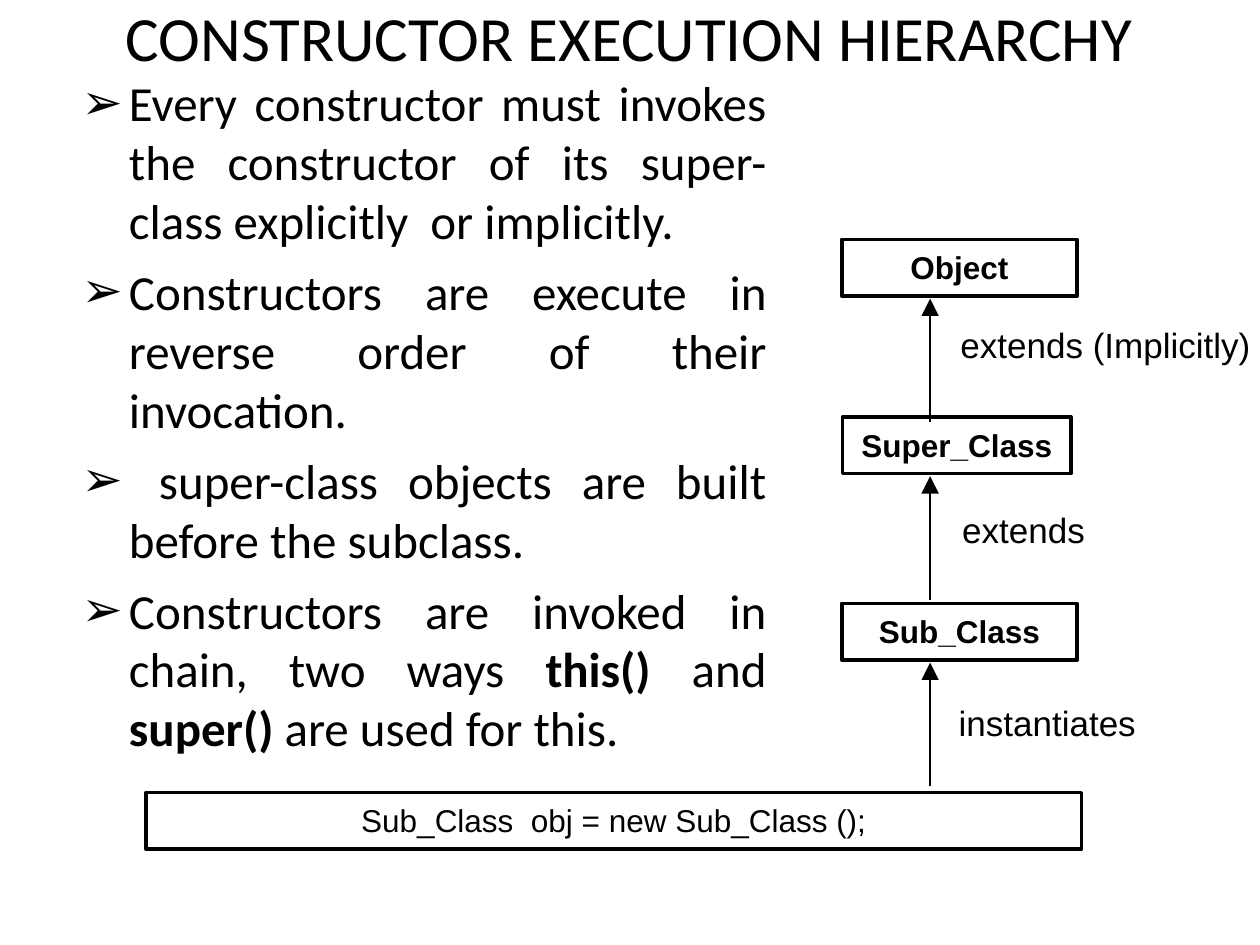
from collections import namedtuple
from dataclasses import dataclass

from lxml import etree
from pptx import Presentation
from pptx.dml.color import RGBColor
from pptx.enum import shapes, text
from pptx.oxml import ns
from pptx.util import Pt

Box = namedtuple("Box", "left top width height")


@dataclass(frozen=True)
class Theme:
    ink: RGBColor = RGBColor(0, 0, 0)
    paper: RGBColor = RGBColor(255, 255, 255)
    prose_font: str = "Calibri"
    diagram_font: str = "Arial"
    title: int = 36
    body: int = 28
    label: int = 20
    node: int = 18


THEME = Theme()
CENTER = text.PP_ALIGN.CENTER

POINTS = [
    [("Every constructor must invokes the constructor of its super-class "
      "explicitly  or implicitly. ", False)],
    [("Constructors are execute in reverse order of their invocation.", False)],
    [(" super-class objects are built before the subclass.", False)],
    [("Constructors are invoked in chain, two ways ", False), ("this()", True),
     (" and ", False), ("super()", True), (" are used for this.", False)],
]

# Class, left, top, width; then the label of the arrow below and its place
CLASSES = [
    ("Object", 397.5, 0, 134.5, "extends (Implicitly)", 454.5, 43.2, 182),
    ("Super_Class", 398, 101.5, 130.5, "extends", 455.5, 149, 91.5),
    ("Sub_Class", 397.5, 208, 134.5, "instantiates", 453.5, 259.2, 123),
]
NODE_HEIGHT = 32.4
LABEL_HEIGHT = 34.5
ARROW_X, ARROW_GAP, ARROW_LENGTH = 448, 1.4, 70.5


def add_child(parent, tag, **attributes):
    return etree.SubElement(parent, ns.qn(tag), **attributes)


def add_run(paragraph, words, font, size, bold=False):
    run = paragraph.add_run()
    run.text = words
    run.font.name, run.font.size, run.font.bold = font, Pt(size), bold
    run.font.color.rgb = THEME.ink


def add_textbox(slide, box):
    frame = slide.shapes.add_textbox(*map(Pt, box)).text_frame
    frame.word_wrap = True
    return frame


def set_insets(frame, left, right):
    frame.margin_left, frame.margin_right = Pt(left), Pt(right)
    frame.margin_top = frame.margin_bottom = Pt(5)


def add_title(slide, box):
    frame = add_textbox(slide, box)
    frame.vertical_anchor = text.MSO_ANCHOR.MIDDLE
    heading = frame.paragraphs[0]
    heading.alignment = CENTER
    add_run(heading, "CONSTRUCTOR EXECUTION HIERARCHY ", THEME.prose_font, THEME.title)


def add_points(slide, box):
    frame = add_textbox(slide, box)
    for index, runs in enumerate(POINTS):
        point = frame.add_paragraph() if index else frame.paragraphs[0]
        point.alignment = text.PP_ALIGN.JUSTIFY
        if index:
            point.space_before = Pt(7)
        properties = point._p.get_or_add_pPr()
        properties.set("marL", str(Pt(27)))
        properties.set("indent", str(Pt(-27)))
        bullet_color = add_child(properties, "a:buClr")
        add_child(bullet_color, "a:srgbClr", val=str(THEME.ink))
        add_child(properties, "a:buFont", typeface=THEME.diagram_font)
        add_child(properties, "a:buChar", char="➢")
        for words, bold in runs:
            add_run(point, words, THEME.prose_font, THEME.body, bold)


def add_node(slide, box, words, bold=True):
    node = slide.shapes.add_shape(shapes.MSO_SHAPE.RECTANGLE, *map(Pt, box))
    node.shadow.inherit = False
    node.fill.solid()
    node.fill.fore_color.rgb = THEME.paper
    node.line.color.rgb = THEME.ink
    node.line.width = Pt(2)
    frame = node.text_frame
    frame.word_wrap = True
    frame.vertical_anchor = text.MSO_ANCHOR.TOP
    set_insets(frame, 4, 4)
    caption = frame.paragraphs[0]
    caption.alignment = CENTER
    add_run(caption, words, THEME.diagram_font, THEME.node, bold)


def add_label(slide, box, words):
    frame = add_textbox(slide, box)
    set_insets(frame, 10.8, 0)
    add_run(frame.paragraphs[0], words, THEME.diagram_font, THEME.label)


def add_up_arrow(slide, x, tip):
    arrow = slide.shapes.add_connector(
        shapes.MSO_CONNECTOR.STRAIGHT, Pt(x), Pt(tip + ARROW_LENGTH), Pt(x), Pt(tip))
    arrow.line.color.rgb = THEME.ink
    arrow.line.width = Pt(0.75)
    add_child(arrow.line._get_or_add_ln(), "a:tailEnd", type="triangle", w="lg", len="lg")
    add_child(arrow._element.spPr, "a:effectLst")


def add_hierarchy(slide, box):
    # Classes and the labels beside the arrows
    for name, left, top, width, label, label_left, label_top, label_width in CLASSES:
        add_node(slide, Box(box.left + left, box.top + top, width, NODE_HEIGHT), name)
        add_label(slide, Box(box.left + label_left, box.top + label_top,
                             label_width, LABEL_HEIGHT), label)

    # Statement along the bottom
    add_node(slide, Box(box.left, box.top + box.height - NODE_HEIGHT, box.width, NODE_HEIGHT),
             "Sub_Class  obj = new Sub_Class ();", bold=False)

    # Arrows into the underside of each class
    for _, _, top, *_ in CLASSES:
        add_up_arrow(slide, box.left + ARROW_X, box.top + top + NODE_HEIGHT + ARROW_GAP)


def main():
    deck = Presentation()
    deck.slide_width, deck.slide_height = Pt(720), Pt(540)
    slide = deck.slides.add_slide(deck.slide_layouts[6])
    add_title(slide, Box(39.6, 2, 648, 37))
    add_points(slide, Box(39.6, 38, 405.5, 471))
    add_hierarchy(slide, Box(83.5, 136.8, 534.5, 348.5))
    deck.save("out.pptx")


if __name__ == "__main__":
    main()
